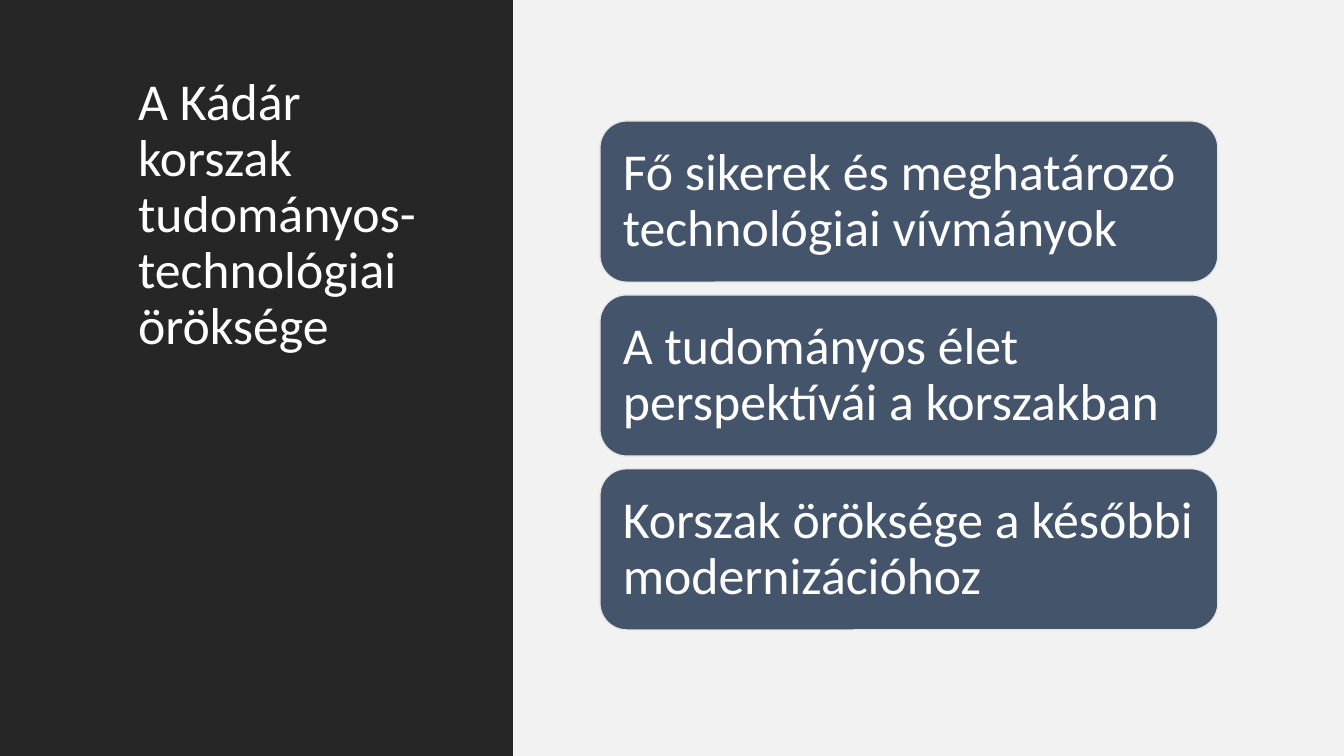
from dataclasses import dataclass

from pptx import Presentation
from pptx.dml.color import RGBColor
from pptx.enum.shapes import MSO_SHAPE
from pptx.enum.text import MSO_ANCHOR, MSO_AUTO_SIZE, PP_ALIGN
from pptx.shapes.autoshape import Shape
from pptx.slide import Slide
from pptx.text.text import TextFrame
from pptx.util import Inches, Pt

COLORS = {"dark": "262626", "light": "F2F2F2", "card": "44546A",
          "edge": "E7E6E6", "text": "FFFFFF"}
WIDTH, HEIGHT, SPLIT = 13.33, 7.5, 5.09
CARD_TOP, CARD_HEIGHT, CARD_PITCH = 1.2, 1.6, 1.725


@dataclass(frozen=True)
class Block:
    left: float
    top: float
    width: float
    height: float
    fill: str
    edge: str = ""
    preset: MSO_SHAPE = MSO_SHAPE.RECTANGLE


def color(name: str) -> RGBColor:
    return RGBColor.from_string(COLORS[name])


def draw_block(slide: Slide, block: Block) -> Shape:
    shape = slide.shapes.add_shape(
        block.preset, Inches(block.left), Inches(block.top),
        Inches(block.width), Inches(block.height))
    shape.shadow.inherit = False
    shape.fill.solid()
    shape.fill.fore_color.rgb = color(block.fill)
    if block.edge:
        shape.line.color.rgb = color(block.edge)
        shape.line.width = Pt(1)
    else:
        shape.line.fill.background()
    return shape


def write(frame: TextFrame, wording: str, frame_format: dict) -> None:
    frame.text = wording
    paragraph = frame.paragraphs[0]
    paragraph_format = {"alignment": PP_ALIGN.LEFT, "line_spacing": 0.9}
    font_format = {"name": "Calibri", "size": Pt(37)}
    common = {"word_wrap": True, "auto_size": MSO_AUTO_SIZE.NONE}
    for target, values in ((frame, common | frame_format),
                           (paragraph, paragraph_format),
                           (paragraph.runs[0].font, font_format)):
        for attribute, value in values.items():
            setattr(target, attribute, value)
    paragraph.runs[0].font.color.rgb = color("text")


def main() -> None:
    deck = Presentation()
    deck.slide_width, deck.slide_height = Inches(WIDTH), Inches(HEIGHT)
    slide = deck.slides.add_slide(deck.slide_layouts[5])

    # Two background panels
    draw_block(slide, Block(0, 0, SPLIT, HEIGHT, "dark"))
    draw_block(slide, Block(SPLIT, 0, WIDTH - SPLIT, HEIGHT, "light"))

    # Title, brought in front of the dark panel
    heading = slide.shapes.title
    heading.left, heading.top = Inches(1.27), Inches(0.7)
    heading.width, heading.height = Inches(3.17), Inches(6.1)
    write(heading.text_frame, "A Kádár korszak tudományos-technológiai öröksége",
          {"vertical_anchor": MSO_ANCHOR.TOP})
    heading.element.getparent().append(heading.element)

    # Stack of topic cards
    topics = ("Fő sikerek és meghatározó technológiai vívmányok",
              "A tudományos élet perspektívái a korszakban",
              "Korszak öröksége a későbbi modernizációhoz")
    for row, topic in enumerate(topics):
        card = draw_block(slide, Block(
            5.95, CARD_TOP + row * CARD_PITCH, 6.13, CARD_HEIGHT,
            "card", "edge", MSO_SHAPE.ROUNDED_RECTANGLE))
        # The rounded corners already inset the text by about 0.08 inch
        write(card.text_frame, topic, {
            "vertical_anchor": MSO_ANCHOR.MIDDLE,
            "margin_left": Inches(0.15), "margin_right": Inches(0.1),
            "margin_top": Inches(0.15), "margin_bottom": Inches(0.15)})

    deck.save("out.pptx")


if __name__ == "__main__":
    main()
